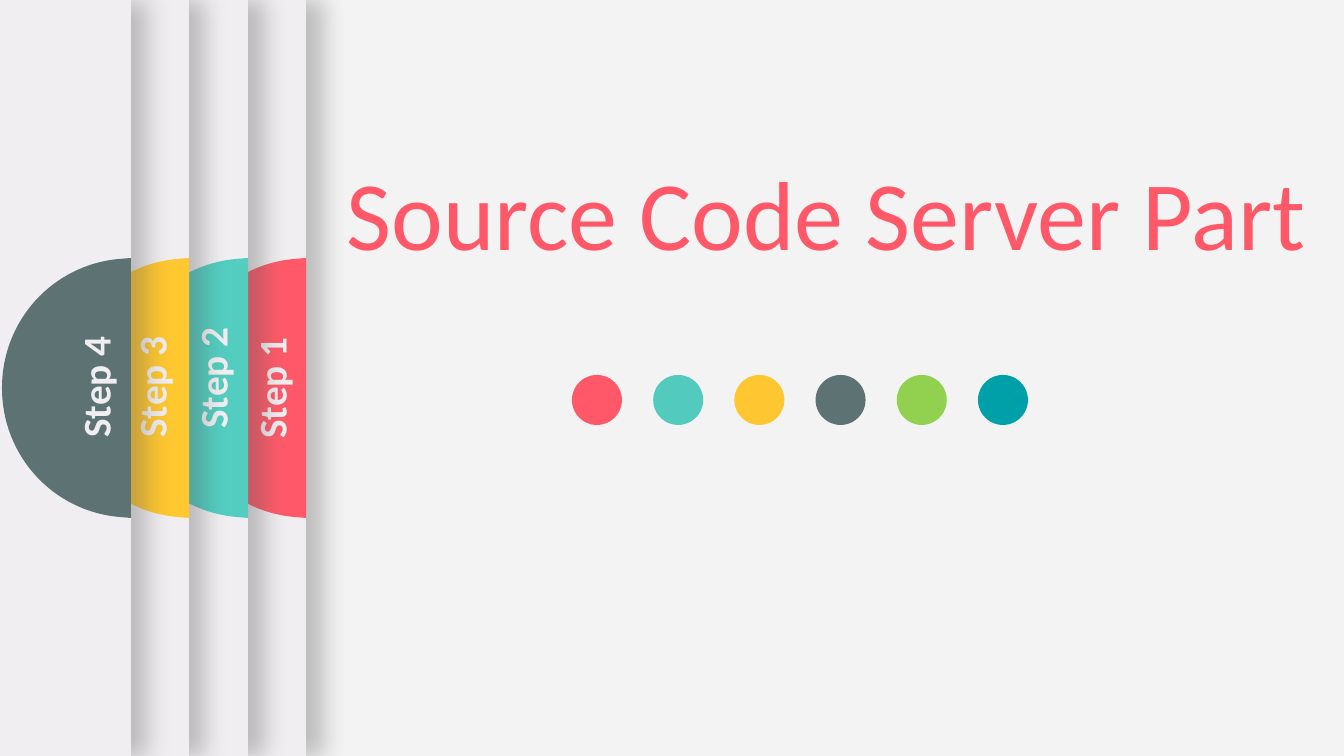
from dataclasses import dataclass

from lxml import etree
from pptx import Presentation
from pptx.dml.color import RGBColor
from pptx.enum.shapes import MSO_SHAPE
from pptx.enum.text import MSO_ANCHOR, MSO_AUTO_SIZE, PP_ALIGN
from pptx.oxml.ns import qn
from pptx.util import Emu, Pt

RECT, OVAL = MSO_SHAPE.RECTANGLE, MSO_SHAPE.OVAL
CENTER, TOP = PP_ALIGN.CENTER, MSO_ANCHOR.TOP
GROW = MSO_AUTO_SIZE.SHAPE_TO_FIT_TEXT

WIDE, HIGH = 1344, 756
SCALE = 12192000 / WIDE
COLORS = {
    "back": "F4F3F3", "panel": "F0EEF0", "shade": "595959",
    "red": "FF5969", "teal": "52CBBE", "mint": "52CDC0",
    "gold": "FEC630", "amber": "FFC730", "slate": "5D7373",
    "green": "92D050", "cyan": "00A0A8",
}


@dataclass
class Step:
    label: str
    color: str
    edge: int   # right edge of the panel
    width: int  # panel width, running past the left of the slide
    mid_x: int  # centre of the label
    mid_y: int


STEPS = [
    Step("Step 1", "red", 306, 1376, 271, 388),
    Step("Step 2", "mint", 248, 1262, 212, 378),
    Step("Step 3", "amber", 189, 1098, 151, 387),
    Step("Step 4", "slate", 131, 1055, 95, 387),
]
DOTS = ["red", "teal", "gold", "slate", "green", "cyan"]
DOT_X, DOT_END, DOT_Y, DOT_SIZE = 572, 978, 375, 50
LABEL_W, LABEL_H = 220, 57

# Half disc: corners, then the control points of its last two, curved sides
DISC_W, DISC_TOP = 129, 258
CORNERS = [(129, 0), (129, 260), (117, 259), (0, 130), (117, 1)]
BENDS = [[(51, 253), (0, 198)], [(0, 62), (51, 7)]]


def px(n: float) -> Emu:
    return Emu(round(n * SCALE))


def rgb(name: str) -> RGBColor:
    return RGBColor.from_string(COLORS[name])


def paint(shape, color: str) -> None:
    shape.shadow.inherit = False
    shape.fill.solid()
    shape.fill.fore_color.rgb = rgb(color)
    shape.line.fill.background()


def write(shape, text: str, *, size: int, color: str, bold: bool = False) -> None:
    frame = shape.text_frame
    frame.word_wrap = True
    frame.auto_size = GROW
    frame.vertical_anchor = TOP
    para = frame.paragraphs[0]
    para.alignment = CENTER
    para.line_spacing = 1.0
    run = para.add_run()
    run.text = text
    font = run.font
    font.name, font.size, font.bold = "Calibri", Pt(size), bold
    font.color.rgb = rgb(color)


def add_shade(shape) -> None:
    effects = shape.element.spPr.find(qn("a:effectLst"))
    outer = etree.SubElement(effects, qn("a:outerShdw"), blurRad=str(Pt(17)),
                             dist=str(Pt(3)), dir="0", sx="101000", sy="100000",
                             algn="l", rotWithShape="0")
    tint = etree.SubElement(outer, qn("a:srgbClr"), val=COLORS["shade"])
    etree.SubElement(tint, qn("a:alpha"), val="35000")


def add_disc(shapes, edge: int, color: str) -> None:
    left = edge - DISC_W
    points = [(px(left + x), px(DISC_TOP + y)) for x, y in CORNERS]
    path = shapes.build_freeform(*points[0], scale=1.0)
    path.add_line_segments(points[1:], close=True)
    disc = path.convert_to_shape()
    sides = list(disc.element.iter(qn("a:lnTo")))[2:4]
    for side, bend in zip(sides, BENDS):
        curve = etree.Element(qn("a:cubicBezTo"))
        for x, y in bend:
            etree.SubElement(curve, qn("a:pt"), x=str(px(x)), y=str(px(y)))
        curve.append(side[0])
        side.getparent().replace(side, curve)
    paint(disc, color)


def add_step(slide, step: Step) -> None:
    shapes = slide.shapes.add_group_shape().shapes
    panel = shapes.add_shape(RECT, px(step.edge - step.width), 0, px(step.width), px(HIGH))
    paint(panel, "panel")
    add_shade(panel)
    add_disc(shapes, step.edge, step.color)
    label = shapes.add_textbox(px(step.mid_x - LABEL_W / 2), px(step.mid_y - LABEL_H / 2),
                               px(LABEL_W), px(LABEL_H))
    label.rotation = 270
    write(label, step.label, size=28, color="panel", bold=True)


def main() -> None:
    deck = Presentation()
    deck.slide_width, deck.slide_height = px(WIDE), px(HIGH)
    slide = deck.slides.add_slide(deck.slide_layouts[5])
    fill = slide.background.fill
    fill.solid()
    fill.fore_color.rgb = rgb("back")

    # Title
    title = slide.shapes.title
    title.left, title.top, title.width, title.height = px(308), px(147), px(1036), px(129)
    write(title, "Source Code Server Part", size=70, color="red")

    # Row of dots
    row = slide.shapes.add_group_shape().shapes
    pitch = (DOT_END - DOT_X) / (len(DOTS) - 1)
    for i, color in enumerate(DOTS):
        dot = row.add_shape(OVAL, px(DOT_X + i * pitch), px(DOT_Y),
                            px(DOT_SIZE), px(DOT_SIZE))
        paint(dot, color)

    # Stacked step panels, back to front
    for step in STEPS:
        add_step(slide, step)

    deck.save("out.pptx")


if __name__ == "__main__":
    main()
